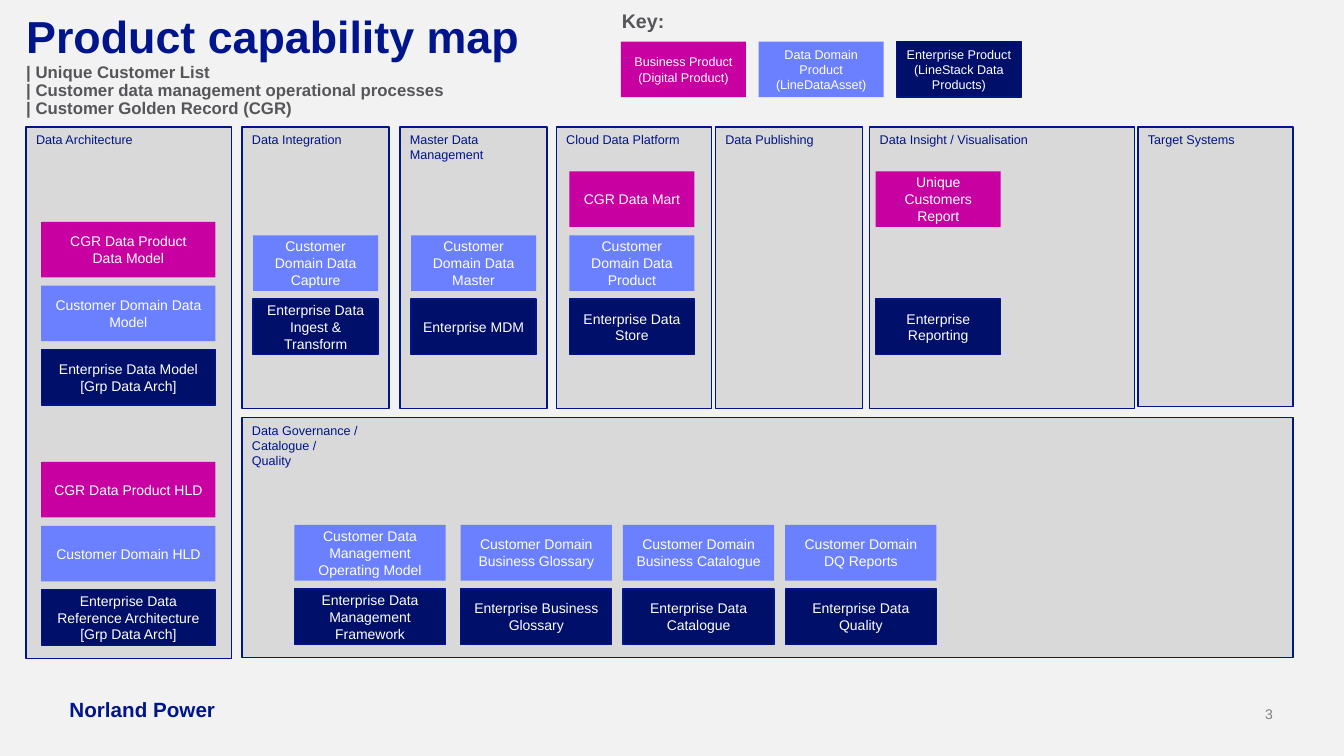
from dataclasses import dataclass
from typing import Any, NamedTuple

from pptx import Presentation
from pptx.dml.color import RGBColor
from pptx.enum.shapes import MSO_SHAPE
from pptx.enum.text import MSO_ANCHOR, MSO_AUTO_SIZE, PP_ALIGN
from pptx.slide import Slide
from pptx.text.text import TextFrame
from pptx.util import Cm, Pt


@dataclass(frozen=True)
class Theme:
    font: str = "Arial"
    background: str = "F2F2F2"
    panel: str = "D9D9D9"
    blue: str = "00148C"
    navy: str = "000F69"
    periwinkle: str = "6B80FF"
    magenta: str = "C800A1"
    grey: str = "55555A"
    page_grey: str = "808080"
    white: str = "FFFFFF"
    title_size: float = 32
    subtitle_size: float = 12
    key_size: float = 14
    company_size: float = 14.7
    tile_size: float = 10
    label_size: float = 9


THEME = Theme()


class Box(NamedTuple):
    left: float
    top: float
    width: float
    height: float


class Panel(NamedTuple):
    text: str
    box: Box


class Kind(NamedTuple):
    fill: str
    line: str | None
    inset_x: float
    inset_y: float


class Stack(NamedTuple):
    left: float
    width: float
    base: float
    enterprise: str
    domain: str = ""
    business: str = ""


class Label(NamedTuple):
    text: str
    box: Box
    size: float
    color: str
    bold: bool
    align: PP_ALIGN
    anchor: MSO_ANCHOR


ENTERPRISE = Kind(THEME.navy, THEME.blue, 0.25, 0.13)
DOMAIN = Kind(THEME.periwinkle, None, 0.33, 0.18)
BUSINESS = Kind(THEME.magenta, None, 0.33, 0.18)

TILE_HEIGHT = 1.4
TILE_STEP = 1.61
NARROW, MEDIUM, WIDE = 3.15, 3.81, 4.39
PANEL_TOP, PANEL_HEIGHT = 3.2, 7.09
MIDDLE_BASE, LOWER_BASE = 7.54, 14.84
KEY_LEFT, KEY_TOP, KEY_STEP = 15.65, 1.05, 3.47

PANELS = [
    Panel("Data Architecture", Box(0.66, PANEL_TOP, 5.18, 13.39)),
    Panel("Data Integration", Box(6.1, PANEL_TOP, 3.71, PANEL_HEIGHT)),
    Panel("Master Data Management", Box(10.08, PANEL_TOP, 3.71, PANEL_HEIGHT)),
    Panel("Cloud Data Platform", Box(14.02, PANEL_TOP, 3.91, PANEL_HEIGHT)),
    Panel("Data Publishing", Box(18.03, PANEL_TOP, 3.71, PANEL_HEIGHT)),
    Panel("Data Insight / Visualisation", Box(21.92, PANEL_TOP, 6.68, PANEL_HEIGHT)),
    Panel("Target Systems", Box(28.68, PANEL_TOP, 3.91, 7.04)),
    Panel("Data Governance /\nCatalogue /\nQuality", Box(6.1, 10.52, 26.49, 6.05)),
]

STACKS = [
    Stack(1.04, WIDE, 8.81, "Enterprise Data Model\n[Grp Data Arch]",
          "Customer Domain Data Model", "CGR Data Product Data Model"),
    Stack(1.04, WIDE, 14.86, "Enterprise Data Reference Architecture [Grp Data Arch]",
          "Customer Domain HLD", "CGR Data Product HLD"),
    Stack(6.38, NARROW, MIDDLE_BASE, "Enterprise Data Ingest & Transform",
          "Customer Domain Data Capture"),
    Stack(10.36, NARROW, MIDDLE_BASE, "Enterprise MDM", "Customer Domain Data Master"),
    Stack(14.35, NARROW, MIDDLE_BASE, "Enterprise Data Store",
          "Customer Domain Data Product", "CGR Data Mart"),
    Stack(22.07, NARROW, MIDDLE_BASE, "Enterprise Reporting",
          business="Unique Customers Report"),
    Stack(7.42, MEDIUM, LOWER_BASE, "Enterprise Data Management Framework",
          "Customer Data Management Operating Model"),
    Stack(11.61, MEDIUM, LOWER_BASE, "Enterprise Business Glossary",
          "Customer Domain Business Glossary"),
    Stack(15.7, MEDIUM, LOWER_BASE, "Enterprise Data Catalogue",
          "Customer Domain Business Catalogue"),
    Stack(19.79, MEDIUM, LOWER_BASE, "Enterprise Data Quality",
          "Customer Domain DQ Reports"),
]

KEY = [
    (BUSINESS, "Business Product\n(Digital Product)"),
    (DOMAIN, "Data Domain Product (LineDataAsset)"),
    (ENTERPRISE, "Enterprise Product (LineStack Data Products)"),
]

LABELS = [
    Label("Key:", Box(15.67, 0.23, 1.88, 0.61), THEME.key_size, THEME.grey, True,
          PP_ALIGN.LEFT, MSO_ANCHOR.TOP),
    Label("Norland Power", Box(1.75, 17.55, 4.2, 0.64), THEME.company_size, THEME.blue,
          True, PP_ALIGN.LEFT, MSO_ANCHOR.BOTTOM),
    Label("3", Box(31.01, 17.78, 1.07, 0.43), THEME.tile_size, THEME.page_grey, False,
          PP_ALIGN.RIGHT, MSO_ANCHOR.BOTTOM),
]

SUBTITLES = [
    "| Unique Customer List",
    "| Customer data management operational processes",
    "| Customer Golden Record (CGR)",
]


def apply(target: Any, values: dict[str, Any]) -> None:
    for name, value in values.items():
        setattr(target, name, value)


def format_font(font: Any, size: float, color: str, bold: bool = False) -> None:
    apply(font, {"name": THEME.font, "size": Pt(size), "bold": bold})
    font.color.rgb = RGBColor.from_string(color)


def format_frame(tf: TextFrame, anchor: MSO_ANCHOR, inset_x: float = 0, inset_y: float = 0) -> None:
    apply(tf, {
        "word_wrap": True, "auto_size": MSO_AUTO_SIZE.NONE, "vertical_anchor": anchor,
        "margin_left": Cm(inset_x), "margin_right": Cm(inset_x),
        "margin_top": Cm(inset_y), "margin_bottom": Cm(inset_y),
    })


def write(tf: TextFrame, text: str, size: float, color: str, align: PP_ALIGN, bold: bool = False) -> None:
    tf.text = text
    for p in tf.paragraphs:
        p.alignment = align
        for r in p.runs:
            format_font(r.font, size, color, bold)


def add_box(s: Slide, box: Box, kind: Kind, text: str, size: float, color: str,
            align: PP_ALIGN, anchor: MSO_ANCHOR) -> None:
    sp = s.shapes.add_shape(MSO_SHAPE.RECTANGLE, *map(Cm, box))
    sp.shadow.inherit = False
    sp.fill.solid()
    sp.fill.fore_color.rgb = RGBColor.from_string(kind.fill)
    if kind.line:
        sp.line.color.rgb = RGBColor.from_string(kind.line)
        sp.line.width = Pt(1)
    else:
        sp.line.fill.background()
    format_frame(sp.text_frame, anchor, kind.inset_x, kind.inset_y)
    write(sp.text_frame, text, size, color, align)


def add_tile(s: Slide, box: Box, kind: Kind, text: str, size: float) -> None:
    add_box(s, box, kind, text, size, THEME.white, PP_ALIGN.CENTER, MSO_ANCHOR.MIDDLE)


def add_stack(s: Slide, stack: Stack) -> None:
    levels = [(ENTERPRISE, stack.enterprise), (DOMAIN, stack.domain), (BUSINESS, stack.business)]
    for level, (kind, text) in enumerate(levels):
        if text:
            top = stack.base - level * TILE_STEP
            add_tile(s, Box(stack.left, top, stack.width, TILE_HEIGHT), kind, text, THEME.tile_size)


def add_label(s: Slide, label: Label) -> None:
    tf = s.shapes.add_textbox(*map(Cm, label.box)).text_frame
    format_frame(tf, label.anchor)
    write(tf, label.text, label.size, label.color, label.align, label.bold)


def fill_title(s: Slide) -> None:
    sp = s.shapes.title
    apply(sp, {"left": Cm(0.66), "top": Cm(0.38), "width": Cm(30.38), "height": Cm(3.38)})
    format_frame(sp.text_frame, MSO_ANCHOR.TOP)
    p = sp.text_frame.paragraphs[0]
    apply(p, {"alignment": PP_ALIGN.LEFT, "line_spacing": 0.9})
    r = p.add_run()
    r.text = "Product capability map"
    format_font(r.font, THEME.title_size, THEME.blue, True)
    for subtitle in SUBTITLES:
        p.add_line_break()
        r = p.add_run()
        r.text = subtitle
        format_font(r.font, THEME.subtitle_size, THEME.grey, True)


def main() -> None:
    prs = Presentation()
    apply(prs, {"slide_width": Cm(33.87), "slide_height": Cm(19.05)})
    s = prs.slides.add_slide(prs.slide_layouts[5])
    s.background.fill.solid()
    s.background.fill.fore_color.rgb = RGBColor.from_string(THEME.background)
    fill_title(s)
    panel_kind = Kind(THEME.panel, THEME.blue, 0.25, 0.13)
    for panel in PANELS:
        add_box(s, panel.box, panel_kind, panel.text, THEME.label_size, THEME.blue,
                PP_ALIGN.LEFT, MSO_ANCHOR.TOP)
    for stack in STACKS:
        add_stack(s, stack)
    for i, (kind, text) in enumerate(KEY):
        box = Box(KEY_LEFT + i * KEY_STEP, KEY_TOP, NARROW, TILE_HEIGHT)
        add_tile(s, box, kind, text, THEME.label_size)
    for label in LABELS:
        add_label(s, label)
    prs.save("out.pptx")


if __name__ == "__main__":
    main()
